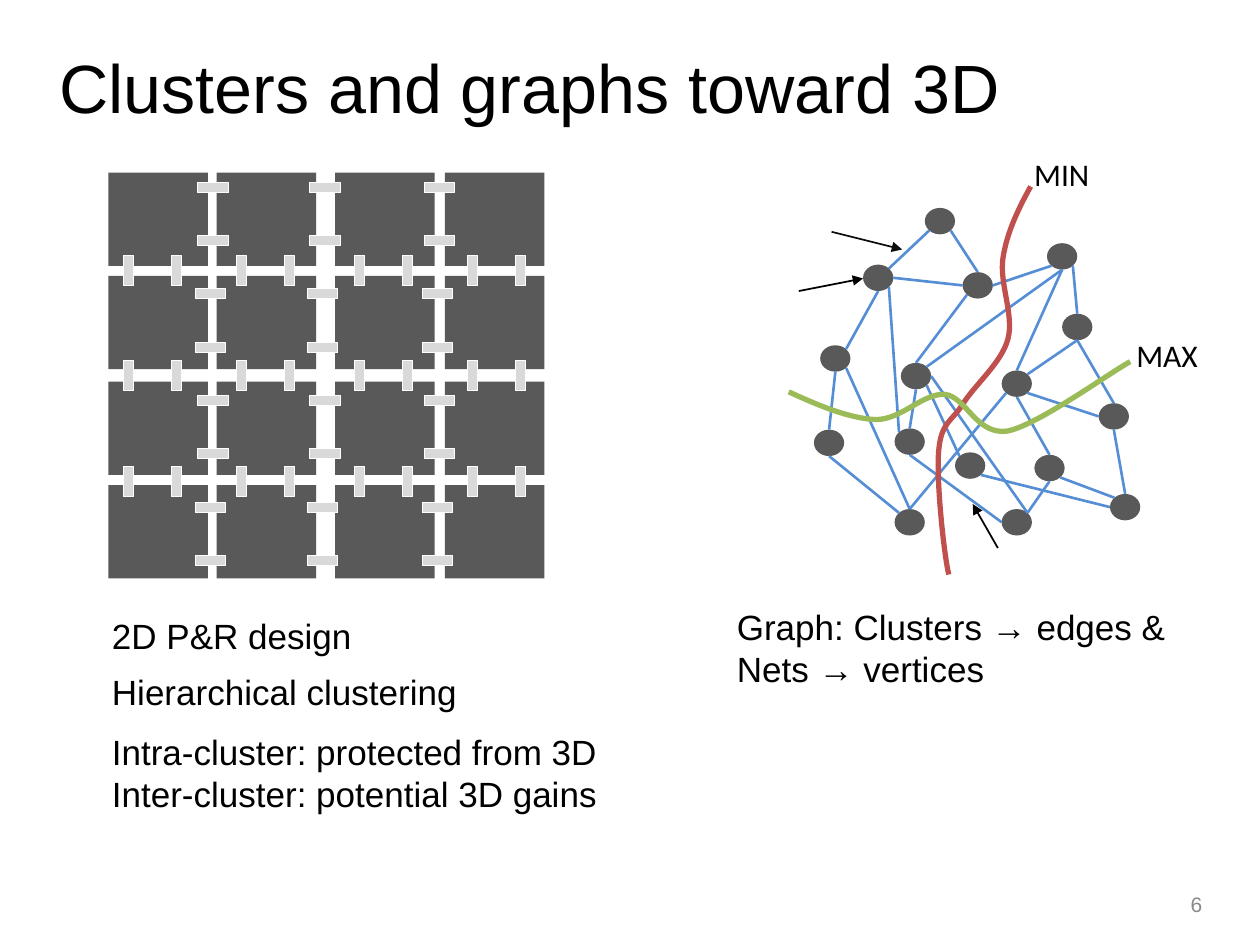
from math import cos, pi, sin

from lxml import etree
from pptx import Presentation
from pptx.dml.color import RGBColor
from pptx.enum.shapes import MSO_CONNECTOR, MSO_SHAPE
from pptx.enum.text import MSO_ANCHOR, MSO_AUTO_SIZE, PP_ALIGN
from pptx.oxml.ns import qn
from pptx.util import Inches, Pt

STRAIGHT = MSO_CONNECTOR.STRAIGHT
RECTANGLE, OVAL = MSO_SHAPE.RECTANGLE, MSO_SHAPE.OVAL
TOP, MIDDLE = MSO_ANCHOR.TOP, MSO_ANCHOR.MIDDLE
LEFT, RIGHT = PP_ALIGN.LEFT, PP_ALIGN.RIGHT
FIT_SHAPE, FIT_NONE = MSO_AUTO_SIZE.SHAPE_TO_FIT_TEXT, MSO_AUTO_SIZE.NONE

BLACK = RGBColor(0x00, 0x00, 0x00)
INK = RGBColor(0x0D, 0x0D, 0x0D)
WHITE = RGBColor(0xFF, 0xFF, 0xFF)
DARK_GRAY = RGBColor(0x59, 0x59, 0x59)
LIGHT_GRAY = RGBColor(0xD9, 0xD9, 0xD9)
NUMBER_GRAY = RGBColor(0x89, 0x89, 0x89)
EDGE_BLUE = RGBColor(0x55, 0x8E, 0xD5)
CUT_RED = RGBColor(0xC0, 0x50, 0x4D)
CUT_GREEN = RGBColor(0x9B, 0xBB, 0x59)

TITLE = ((0.37, 0.3, 8.51, 0.77), ["Clusters and graphs toward 3D"])
PAGE_NUMBER = ((7.31, 7.04, 2.33, 0.27), ["6"])
CAPTIONS = [
    ((5.75, 4.76, 3.77, 0.77), ["Graph: Clusters → edges &", "Nets → vertices"]),
    ((0.79, 5.75, 4.17, 0.77),
     ["Intra-cluster: protected from 3D", "Inter-cluster: potential 3D gains"]),
    ((0.79, 5.27, 3.62, 0.44), ["Hierarchical clustering"]),
    ((0.79, 4.83, 3.46, 0.44), ["2D P&R design"]),
]
CUT_LABELS = [((8.11, 1.18, 0.77, 0.4), ["MIN"]), ((8.92, 2.62, 0.77, 0.4), ["MAX"])]

CLUSTER_COLUMNS = (0.86, 1.72, 2.66, 3.53)
CLUSTER_ROWS = (1.37, 2.19, 3.03, 3.85)
CLUSTER_SIZE = (0.79, 0.74)
BRIDGE_SIZE = (0.24, 0.08)
ACROSS_COLUMNS = (1.57, 2.46, 3.37)
ACROSS_ROWS = (1.45, 1.87, 2.29, 2.72, 3.14, 3.56, 3.99, 4.41)
ACROSS_SHIFT = 0.02
DOWN_COLUMNS = (0.9, 1.28, 1.8, 2.18, 2.73, 3.11, 3.63, 4.01)
DOWN_ROWS = (2.11, 2.94, 3.78)

NODE_SIZE = (0.24, 0.21)
NODES = {
    "A": (6.85, 2.1), "B": (7.64, 2.16), "C": (7.15, 2.88), "D": (7.95, 2.94),
    "E": (6.46, 3.41), "F": (7.58, 3.59), "G": (6.51, 2.74), "H": (8.43, 2.49),
    "I": (8.21, 3.61), "J": (7.1, 4.04), "K": (7.1, 3.4), "L": (8.31, 1.93),
    "M": (7.95, 4.04), "N": (7.34, 1.65), "O": (8.72, 3.2), "P": (8.81, 3.92),
}
COMPASS = ("E", "SE", "S", "SW", "W", "NW", "N", "NE")
EDGES = [
    ("N", "SE", "B", "N"), ("B", "E", "L", "SW"), ("N", "SW", "A", "NE"),
    ("L", "SE", "H", "N"), ("L", "S", "D", "N"), ("L", "S", "C", "NE"),
    ("A", "E", "B", "W"), ("A", "S", "G", "NE"), ("A", "SE", "K", "NW"),
    ("B", "SW", "C", "N"), ("G", "S", "E", "N"), ("C", "SE", "F", "NW"),
    ("K", "N", "C", "S"), ("H", "S", "D", "NE"), ("H", "S", "O", "N"),
    ("O", "W", "D", "SE"), ("D", "S", "I", "N"), ("M", "NE", "C", "E"),
    ("J", "N", "D", "SW"), ("O", "S", "P", "N"), ("I", "SE", "P", "NW"),
    ("M", "NE", "I", "S"), ("J", "NW", "E", "S"), ("J", "N", "G", "SE"),
    ("M", "W", "K", "S"), ("P", "W", "F", "SE"),
]
ARROWS = [
    ((6.6, 1.84), (7.16, 1.98), INK),
    ((6.34, 2.31), (6.85, 2.21), BLACK),
    ((7.92, 4.35), (7.72, 4), BLACK),
]
MIN_CUT = [
    (8.18, 1.48), (8.08, 1.66), (7.99, 1.85), (7.96, 2.05), (7.93, 2.25), (8.05, 2.5),
    (8, 2.69), (7.95, 2.88), (7.73, 3.06), (7.64, 3.21), (7.55, 3.35), (7.47, 3.35),
    (7.45, 3.58), (7.43, 3.81), (7.49, 4.39), (7.53, 4.56),
]
MAX_CUT = [
    (6.26, 3.11), (6.5, 3.22), (6.74, 3.32), (6.95, 3.33), (7.16, 3.33), (7.32, 3.12),
    (7.5, 3.13), (7.67, 3.15), (7.75, 3.46), (8, 3.42), (8.24, 3.37), (8.79, 2.97),
    (8.97, 2.87),
]


def add_text(page, content, size, font="Arial", color=BLACK, anchor=TOP, align=LEFT,
             fit=FIT_SHAPE):
    place, lines = content
    frame = page.shapes.add_textbox(*map(Inches, place)).text_frame
    frame.word_wrap = True
    frame.auto_size = fit
    frame.vertical_anchor = anchor
    for index, line in enumerate(lines):
        para = frame.paragraphs[0] if index == 0 else frame.add_paragraph()
        para.alignment = align
        span = para.add_run()
        span.text = line
        span.font.name = font
        span.font.size = Pt(size)
        span.font.color.rgb = color


def add_block(page, kind, corner, size, fill, outline=None, rotation=0):
    block = page.shapes.add_shape(kind, *map(Inches, corner + size))
    block.shadow.inherit = False
    block.rotation = rotation
    block.fill.solid()
    block.fill.fore_color.rgb = fill
    if outline is None:
        block.line.fill.background()
    else:
        block.line.color.rgb = outline
        block.line.width = Pt(0.5)


def add_line(page, start, end, color, width, arrow=False):
    line = page.shapes.add_connector(STRAIGHT, *map(Inches, start + end))
    line.line.color.rgb = color
    line.line.width = Pt(width)
    if arrow:
        etree.SubElement(line.line._get_or_add_ln(), qn("a:tailEnd"), type="triangle")
    etree.SubElement(line._element.spPr, qn("a:effectLst"))


def node_site(name, direction):
    angle = COMPASS.index(direction) * pi / 4
    (left, top), (width, height) = NODES[name], NODE_SIZE
    return left + width / 2 * (1 + cos(angle)), top + height / 2 * (1 + sin(angle))


def add_cut(page, controls, color):
    start, *points = [(Inches(x), Inches(y)) for x, y in controls]
    builder = page.shapes.build_freeform(*start)
    builder.add_line_segments(points, close=False)
    cut = builder.convert_to_shape()
    segments = list(cut._element.iter(qn("a:lnTo")))
    outline = segments[0].getparent()
    for first in range(0, len(segments), 3):
        curve = etree.SubElement(outline, qn("a:cubicBezTo"))
        for segment in segments[first:first + 3]:
            curve.append(segment[0])
            outline.remove(segment)
    cut.shadow.inherit = False
    cut.fill.background()
    cut.line.color.rgb = color
    cut.line.width = Pt(3)


def main():
    deck = Presentation()
    deck.slide_width, deck.slide_height = Inches(10), Inches(7.5)
    page = deck.slides.add_slide(deck.slide_layouts[6])

    add_text(page, TITLE, 39, anchor=MIDDLE, fit=FIT_NONE)
    add_text(page, PAGE_NUMBER, 12, color=NUMBER_GRAY, anchor=MIDDLE, align=RIGHT,
             fit=FIT_NONE)
    for corner in NODES.values():
        add_block(page, OVAL, corner, NODE_SIZE, DARK_GRAY)

    for top in CLUSTER_ROWS:
        for left in CLUSTER_COLUMNS:
            add_block(page, RECTANGLE, (left, top), CLUSTER_SIZE, DARK_GRAY)
    for index, top in enumerate(ACROSS_ROWS):
        shift = ACROSS_SHIFT * (index // 2 % 2)
        for left in ACROSS_COLUMNS:
            add_block(page, RECTANGLE, (left - shift, top), BRIDGE_SIZE, LIGHT_GRAY, WHITE)
    for top in DOWN_ROWS:
        for left in DOWN_COLUMNS:
            add_block(page, RECTANGLE, (left, top), BRIDGE_SIZE, LIGHT_GRAY, WHITE, 90)

    for first, leaving, second, entering in EDGES:
        add_line(page, node_site(first, leaving), node_site(second, entering),
                 EDGE_BLUE, 1.5)
    add_cut(page, MIN_CUT, CUT_RED)
    for caption in CAPTIONS:
        add_text(page, caption, 20)
    for start, end, color in ARROWS:
        add_line(page, start, end, color, 1, arrow=True)
    add_cut(page, MAX_CUT, CUT_GREEN)
    for label in CUT_LABELS:
        add_text(page, label, 18, font="Calibri")

    deck.save("out.pptx")


if __name__ == "__main__":
    main()
